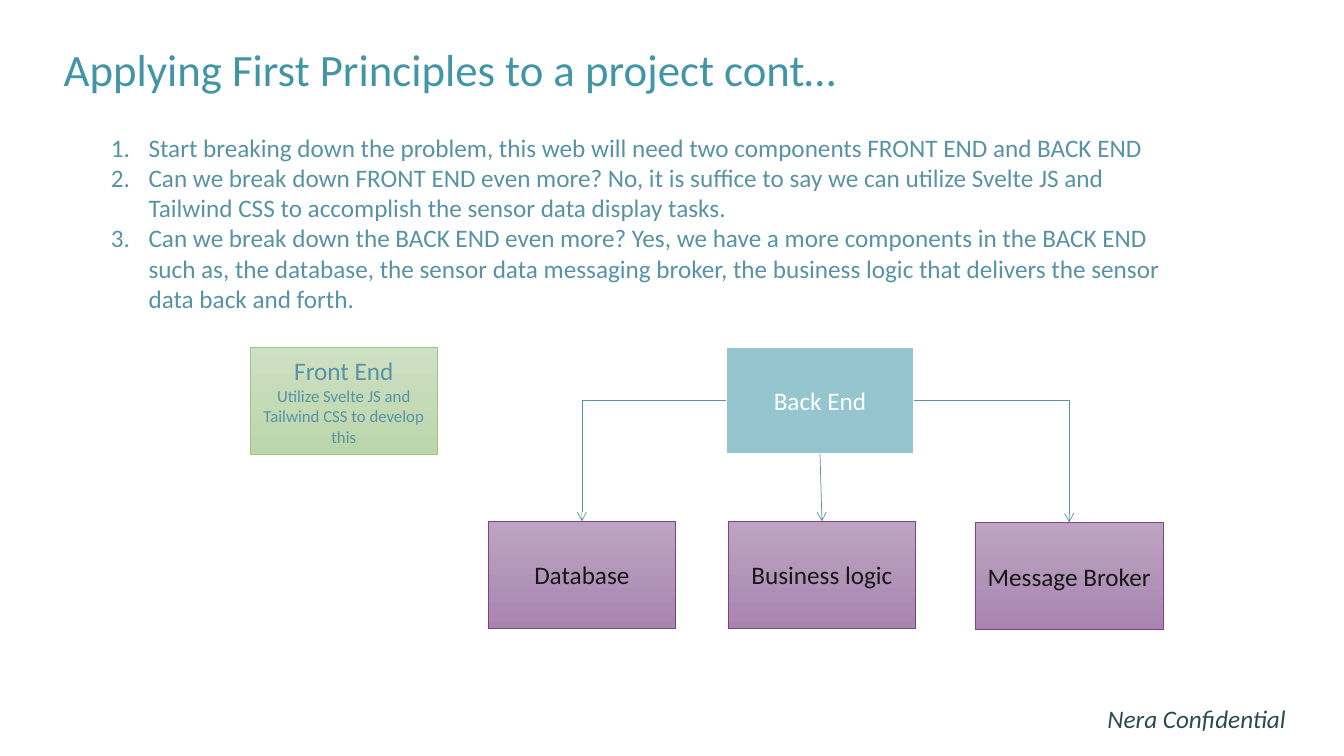
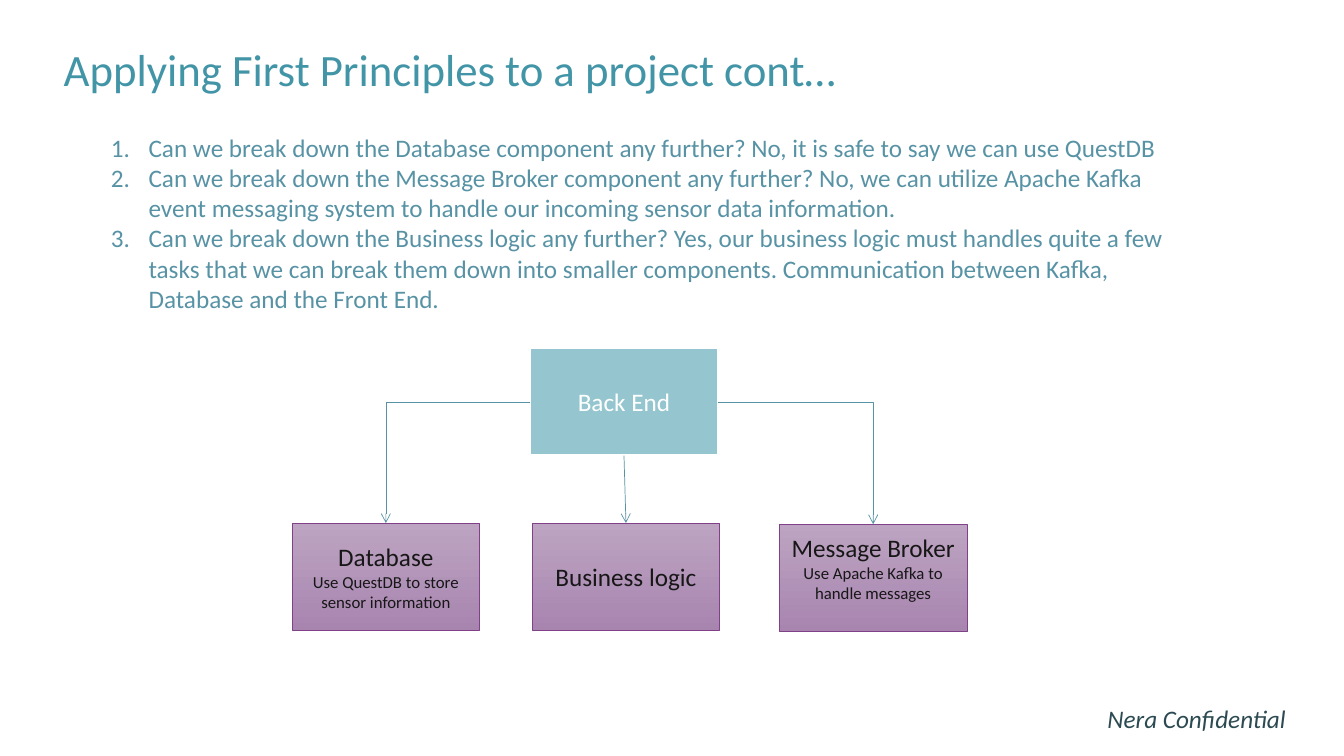
from dataclasses import dataclass

from lxml.etree import SubElement
from pptx import Presentation
from pptx.dml.color import RGBColor
from pptx.enum.shapes import MSO_CONNECTOR, MSO_SHAPE
from pptx.enum.text import MSO_ANCHOR as Anchor, MSO_AUTO_SIZE as AutoSize, PP_ALIGN as Align
from pptx.oxml.ns import qn
from pptx.presentation import Presentation as Deck
from pptx.shapes.autoshape import Shape
from pptx.slide import Slide
from pptx.text.text import TextFrame
from pptx.util import Cm, Pt

color = RGBColor.from_string
TOP, LEFT, BOTTOM, RIGHT = range(4)


@dataclass(frozen=True)
class BoxStyle:
    fill: tuple[RGBColor, ...]  # one colour is solid, two run from top to bottom
    line: RGBColor
    line_width: float
    text: RGBColor


@dataclass(frozen=True)
class Theme:
    font: str = "Calibri"
    title: RGBColor = color("4295A7")
    body: RGBColor = color("5893A5")
    footer: RGBColor = color("2C4A52")
    arrow: RGBColor = color("5892A5")
    title_size: int = 32
    body_size: int = 18
    note_size: int = 12
    green: BoxStyle = BoxStyle((color("CEE0C3"), color("BBD6AB")), color("9DC385"), 0.5, color("5893A5"))
    blue: BoxStyle = BoxStyle((color("95C6CF"),), color("FFFFFF"), 1.5, color("FFFFFF"))
    purple: BoxStyle = BoxStyle((color("BDA4C2"), color("A885AF")), color("804189"), 0.5, color("171717"))


@dataclass(frozen=True)
class Component:
    name: str
    note: str = ""
    bottom_inset: float = 0.13


@dataclass(frozen=True)
class Page:
    steps: tuple[str, ...]
    back_end: tuple[float, float]
    components: tuple[Component, ...]
    front_end: Component | None = None


THEME = Theme()
TITLE = "Applying First Principles to a project cont…"
FOOTER = "Nera Confidential"
BOX_SIZE = Cm(4.73), Cm(2.7)
FRONT_END_AT = (6.3, 8.76)
COMPONENT_OFFSETS = ((-6, 4.4), (0.05, 4.4), (6.28, 4.43))

PAGES = (
    Page(
        steps=(
            "Start breaking down the problem, this web will need two components FRONT END and BACK END",
            "Can we break down FRONT END even more? No, it is suffice to say we can utilize Svelte JS and "
            "Tailwind CSS to accomplish the sensor data display tasks.",
            "Can we break down the BACK END even more? Yes, we have a more components in the BACK END such as, "
            "the database, the sensor data messaging broker, the business logic that delivers the sensor data "
            "back and forth.",
        ),
        back_end=(18.3, 8.74),
        components=(Component("Database"), Component("Business logic"), Component("Message Broker")),
        front_end=Component("Front End", "Utilize Svelte JS and Tailwind CSS to develop this"),
    ),
    Page(
        steps=(
            "Can we break down the Database component any further? No, it is safe to say we can use QuestDB",
            "Can we break down the Message Broker component any further? No, we can utilize Apache Kafka event "
            "messaging system to handle our incoming sensor data information.",
            "Can we break down the Business logic any further? Yes, our business logic must handles quite a few "
            "tasks that we can break them down into smaller components. Communication between Kafka, Database "
            "and the Front End.",
        ),
        back_end=(13.36, 8.78),
        components=(
            Component("Database", "Use QuestDB to store sensor information"),
            Component("Business logic"),
            Component("Message Broker", "Use Apache Kafka to handle messages", bottom_inset=0.64),
        ),
    ),
)


def write(frame: TextFrame, text: str, *, size: int, ink: RGBColor, align: Align = Align.LEFT,
          italic: bool = False, numbered: bool = False, spacing: float = 1.0) -> None:
    """Add a paragraph, using the empty first one if there is one."""
    para = frame.paragraphs[0] if not frame.text else frame.add_paragraph()
    para.alignment = align
    para.line_spacing = spacing
    para.space_before = para.space_after = Pt(0)
    if numbered:
        props = para._p.get_or_add_pPr()
        props.set("marL", str(Cm(0.95)))
        props.set("indent", str(-Cm(0.95)))
        SubElement(props, qn("a:buFont"), typeface="+mj-lt")
        SubElement(props, qn("a:buAutoNum"), type="arabicPeriod")
    span = para.add_run()
    span.text = text
    span.font.name = THEME.font
    span.font.size = Pt(size)
    span.font.italic = italic
    span.font.color.rgb = ink


def place(shape: Shape, left: float, top: float, width: float, height: float) -> TextFrame:
    """Move a placeholder and return its top-anchored text frame."""
    shape.left, shape.top, shape.width, shape.height = Cm(left), Cm(top), Cm(width), Cm(height)
    frame = shape.text_frame
    frame.word_wrap = True
    frame.auto_size = AutoSize.NONE
    frame.vertical_anchor = Anchor.TOP
    return frame


def add_text(slide: Slide, steps: tuple[str, ...]) -> None:
    """Fill the title, the footer and the numbered list."""
    title = place(slide.shapes.title, 1.35, 1.07, 31.29, 1.88)
    write(title, TITLE, size=THEME.title_size, ink=THEME.title, spacing=0.9)
    footer = slide.shapes.add_textbox(Cm(27.66), Cm(17.6), Cm(5.23), Cm(1.02)).text_frame
    footer.word_wrap = False
    footer.auto_size = AutoSize.SHAPE_TO_FIT_TEXT
    write(footer, FOOTER, size=THEME.body_size, ink=THEME.footer, italic=True)
    body = place(slide.placeholders[1], 2.54, 3.2, 27.74, 5.64)
    for step in steps:
        write(body, step, size=THEME.body_size, ink=THEME.body, numbered=True)


def add_box(slide: Slide, component: Component, left: float, top: float, style: BoxStyle) -> Shape:
    box = slide.shapes.add_shape(MSO_SHAPE.RECTANGLE, Cm(left), Cm(top), *BOX_SIZE)
    box.shadow.inherit = False
    if len(style.fill) == 1:
        box.fill.solid()
        box.fill.fore_color.rgb = style.fill[0]
    else:
        box.fill.gradient()
        box.fill.gradient_angle = 270
        for stop, shade in zip(box.fill.gradient_stops, style.fill):
            stop.color.rgb = shade
    box.line.color.rgb = style.line
    box.line.width = Pt(style.line_width)
    frame = box.text_frame
    frame.word_wrap = True
    frame.vertical_anchor = Anchor.MIDDLE
    frame.margin_bottom = Cm(component.bottom_inset)
    write(frame, component.name, size=THEME.body_size, ink=style.text, align=Align.CENTER)
    if component.note:
        write(frame, component.note, size=THEME.note_size, ink=style.text, align=Align.CENTER)
    return box


def add_arrow(slide: Slide, source: Shape, side: int, target: Shape) -> None:
    """Join a side of the source to the top of the target, with one bend unless it leaves the bottom."""
    kind = MSO_CONNECTOR.STRAIGHT if side == BOTTOM else MSO_CONNECTOR.ELBOW
    arrow = slide.shapes.add_connector(kind, 0, 0, 0, 0)
    arrow.begin_connect(source, side)
    arrow.end_connect(target, TOP)
    arrow.line.color.rgb = THEME.arrow
    arrow.line.width = Pt(0.5)
    props = arrow.element.spPr
    if side != BOTTOM:
        props.find(qn("a:prstGeom")).set("prst", "bentConnector2")
    SubElement(props.find(qn("a:ln")), qn("a:tailEnd"), type="arrow")
    SubElement(props, qn("a:effectLst"))


def add_page(deck: Deck, page: Page) -> None:
    slide = deck.slides.add_slide(deck.slide_layouts[1])
    add_text(slide, page.steps)
    if page.front_end:
        add_box(slide, page.front_end, *FRONT_END_AT, THEME.green)
    left, top = page.back_end
    back_end = add_box(slide, Component("Back End"), left, top, THEME.blue)
    for component, (across, down), side in zip(page.components, COMPONENT_OFFSETS, (LEFT, BOTTOM, RIGHT)):
        box = add_box(slide, component, left + across, top + down, THEME.purple)
        add_arrow(slide, back_end, side, box)


def main() -> None:
    deck = Presentation()
    deck.slide_width, deck.slide_height = Cm(33.87), Cm(19.05)
    for page in PAGES:
        add_page(deck, page)
    deck.save("out.pptx")


if __name__ == "__main__":
    main()
